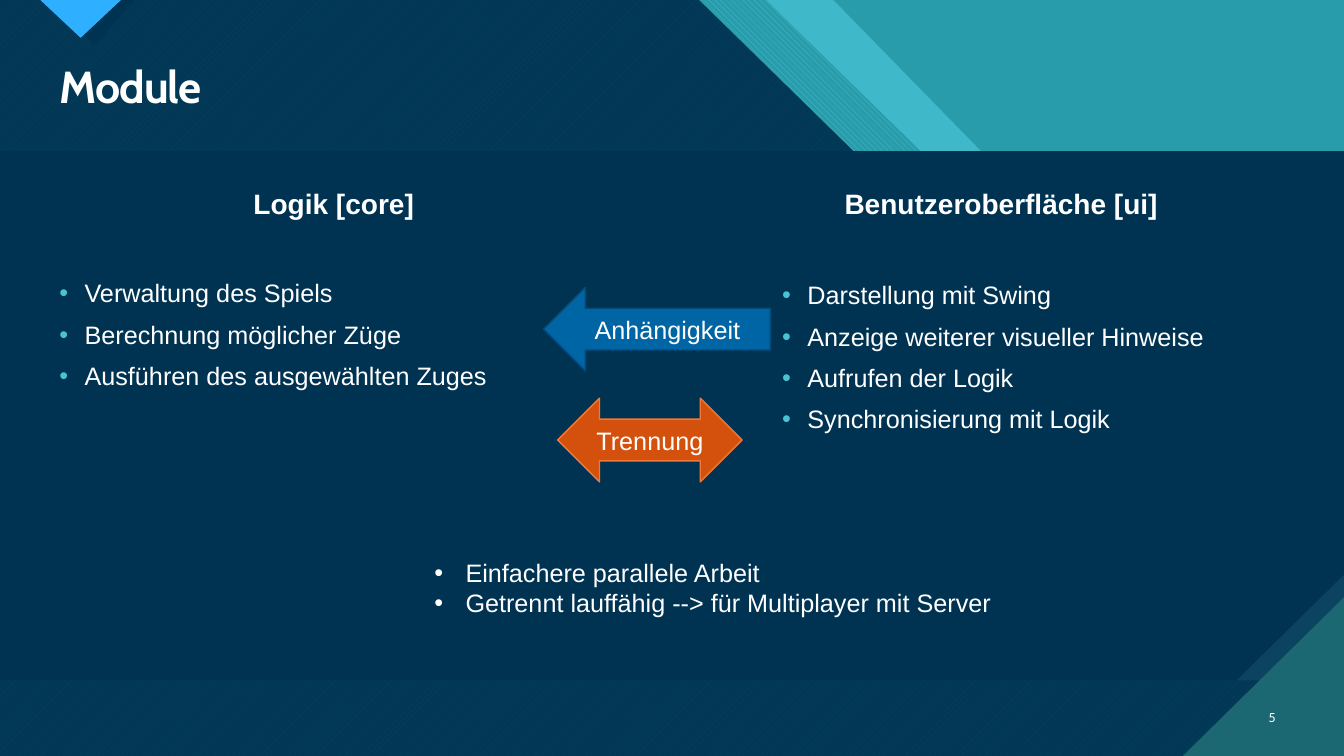
from lxml.etree import SubElement
from pptx import Presentation
from pptx.dml.color import RGBColor
from pptx.enum.dml import MSO_PATTERN as PATTERN
from pptx.enum.shapes import MSO_SHAPE as SHAPE
from pptx.enum.text import MSO_ANCHOR as ANCHOR, PP_ALIGN as ALIGN
from pptx.oxml.ns import qn
from pptx.util import Inches, Pt

COLORS = {
    "white": "FFFFFF", "navy": "003352", "navy light": "0C4360", "teal": "299CAB",
    "aqua": "47C3D3", "aqua band": "3FB9C9", "green": "1B6872", "sky": "2FAFFF",
    "blue": "0065A4", "blue edge": "004B79", "orange": "D3510C", "orange edge": "F47735",
}
RGB = {name: RGBColor.from_string(value) for name, value in COLORS.items()}

deck = Presentation()
deck.slide_width, deck.slide_height = Inches(13.33), Inches(7.5)
slide = deck.slides.add_slide(deck.slide_layouts.get_by_name("Title Only"))
shapes = slide.shapes

# Grid of 100 columns by 100 rows; SLOPE is the columns per row at 45 degrees
COLUMN, ROW = deck.slide_width / 100, deck.slide_height / 100
SLOPE = ROW / COLUMN


def add_outline(points, color, pattern=None, back=None):
    builder = shapes.build_freeform(*points[0], scale=(COLUMN, ROW))
    builder.add_line_segments(points[1:], close=True)
    outline = builder.convert_to_shape()
    outline.shadow.inherit = False
    outline.line.fill.background()
    if pattern:
        outline.fill.patterned()
        outline.fill.pattern = pattern
        outline.fill.back_color.rgb = RGB[back]
    else:
        outline.fill.solid()
    outline.fill.fore_color.rgb = RGB[color]
    return outline


def write_text(shape, box, lines, size, font="Arial", bold=False, anchor=ANCHOR.TOP,
               indent=0, bullet_color=None, **paragraph_format):
    left, top, width, height = box
    places = {"left": left * COLUMN, "top": top * ROW,
              "width": width * COLUMN, "height": height * ROW}
    for name, value in places.items():
        setattr(shape, name, round(value))
    frame = shape.text_frame
    frame.word_wrap, frame.vertical_anchor = True, anchor
    frame.text = "\n".join(lines)
    for paragraph in frame.paragraphs:
        for name, value in paragraph_format.items():
            setattr(paragraph, name, value)
        for name, value in {"size": Pt(size), "name": font, "bold": bold}.items():
            setattr(paragraph.runs[0].font, name, value)
        paragraph.runs[0].font.color.rgb = RGB["white"]
        if indent:
            properties = paragraph._p.get_or_add_pPr()
            properties.set("marL", str(Inches(indent)))
            properties.set("indent", str(-Inches(indent)))
            bullet_fill = SubElement(properties, qn("a:buClr"))
            SubElement(bullet_fill, qn("a:srgbClr"), val=COLORS[bullet_color])
            SubElement(properties, qn("a:buFont"), typeface="Arial")
            SubElement(properties, qn("a:buChar"), char="•")


# Background with diagonal bands, widest first
slide.background.fill.solid()
slide.background.fill.fore_color.rgb = RGB["teal"]
diagonal_bands = [
    (61.89, "aqua band", None, None),
    (57, "aqua", PATTERN.WIDE_DOWNWARD_DIAGONAL, "teal"),
    (52.12, "aqua", PATTERN.WIDE_UPWARD_DIAGONAL, "green"),
    (52.12, "navy", None, None),
]
BEND = 40
for edge, color, pattern, back in diagonal_bands:
    band = add_outline([(0, 0), (edge, 0), (edge + BEND * SLOPE, BEND), (100, BEND),
                        (100, 100), (0, 100)], color, pattern, back)
veil_color = band._element.spPr.find(qn("a:solidFill"))[0]
SubElement(veil_color, qn("a:alpha"), val="90000")

# Marker at the top left with its dark shade
for left, right, color in [(3.6, 9.82, "navy"), (2.78, 8.78, "sky")]:
    add_outline([(left, 0), (right, 0),
                 ((left + right) / 2, (right - left) / 2 / SLOPE)], color)

# Content panel with a cut corner
PANEL_TOP, PANEL_BOTTOM = 19.8, 90.4
for cut, color in [(0, "navy light"), (13.9, "navy")]:
    add_outline([(0, PANEL_TOP), (100, PANEL_TOP), (100, PANEL_BOTTOM - cut),
                 (100 - cut * SLOPE, PANEL_BOTTOM), (0, PANEL_BOTTOM)], color)

# Page corner
CORNER = 20.53
add_outline([(100 - CORNER * SLOPE, 100), (100, 100), (100, 100 - CORNER)], "green")

# Title and page number
title = shapes.title
shapes._spTree.append(title._element)
MARGIN = 3.68
write_text(title, (MARGIN, 7.87, 91.97, 7.87), ["Module"], 32, "Cabin", True,
           ANCHOR.MIDDLE, alignment=ALIGN.LEFT, line_spacing=0.9)
title.text_frame.paragraphs[0].runs[0].font._element.set("spc", "-70")
write_text(shapes.add_textbox(0, 0, 0, 0), (92.35, 92.13, 3.3, 5.33), ["5"], 10,
           "Calibri", anchor=ANCHOR.MIDDLE, alignment=ALIGN.RIGHT)

# The two modules: heading and tasks
modules = [
    ("Logik [core]", MARGIN, (MARGIN, 36.53, 42.31, 53.73),
     ["Verwaltung des Spiels", "Berechnung möglicher Züge",
      "Ausführen des ausgewählten Zuges"]),
    ("Benutzeroberfläche [ui]", 53.34, (57.46, 36.8, 42.54, 53.73),
     ["Darstellung mit Swing", "Anzeige weiterer visueller Hinweise",
      "Aufrufen der Logik", "Synchronisierung mit Logik"]),
]
spacing = {"line_spacing": 0.9, "space_before": Pt(10)}
for heading, heading_left, tasks_box, tasks in modules:
    write_text(shapes.add_textbox(0, 0, 0, 0), (heading_left, 24.53, 42.31, 12),
               [heading], 20, bold=True, alignment=ALIGN.CENTER, **spacing)
    write_text(shapes.add_textbox(0, 0, 0, 0), tasks_box, tasks, 18,
               indent=0.25, bullet_color="aqua", **spacing)

# Relations between the modules
relations = [
    ("Anhängigkeit", SHAPE.LEFT_ARROW, (40.44, 38, 16.88, 11.07), "blue"),
    ("Trennung", SHAPE.LEFT_RIGHT_ARROW, (41.49, 52.67, 13.73, 11.07), "orange"),
]
for label, outline, box, color in relations:
    arrow = shapes.add_shape(outline, 0, 0, 0, 0)
    arrow.shadow.inherit = False
    arrow.fill.solid()
    arrow.fill.fore_color.rgb = RGB[color]
    arrow.line.color.rgb = RGB[color + " edge"]
    arrow.line.width = Pt(1)
    write_text(arrow, box, [label], 18, anchor=ANCHOR.MIDDLE, alignment=ALIGN.CENTER)

# Benefits
write_text(shapes.add_textbox(0, 0, 0, 0), (31.58, 73.07, 43.44, 9.47),
           ["Einfachere parallele Arbeit",
            "Getrennt lauffähig --> für Multiplayer mit Server"],
           18, indent=0.31, bullet_color="white")

deck.save("out.pptx")
